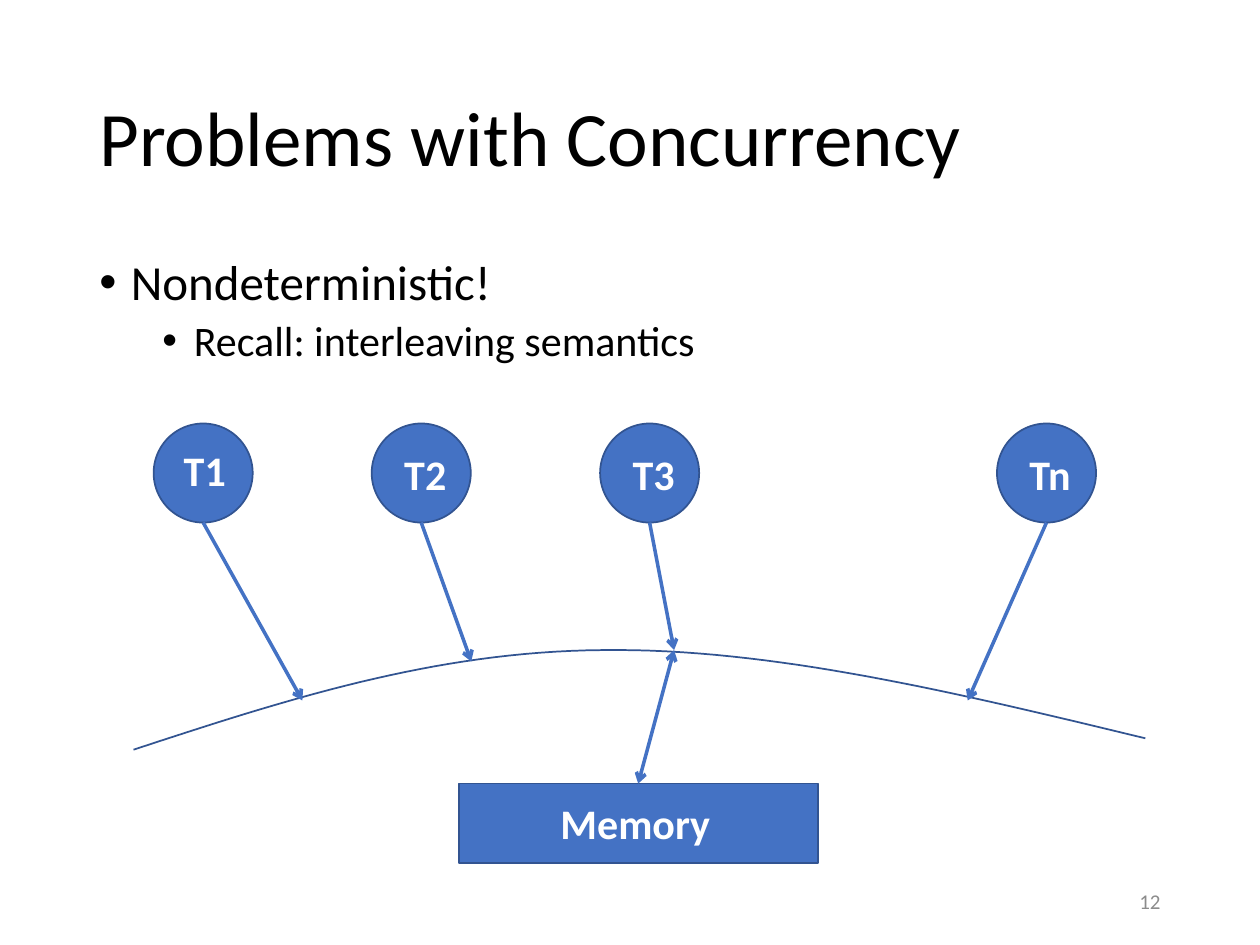
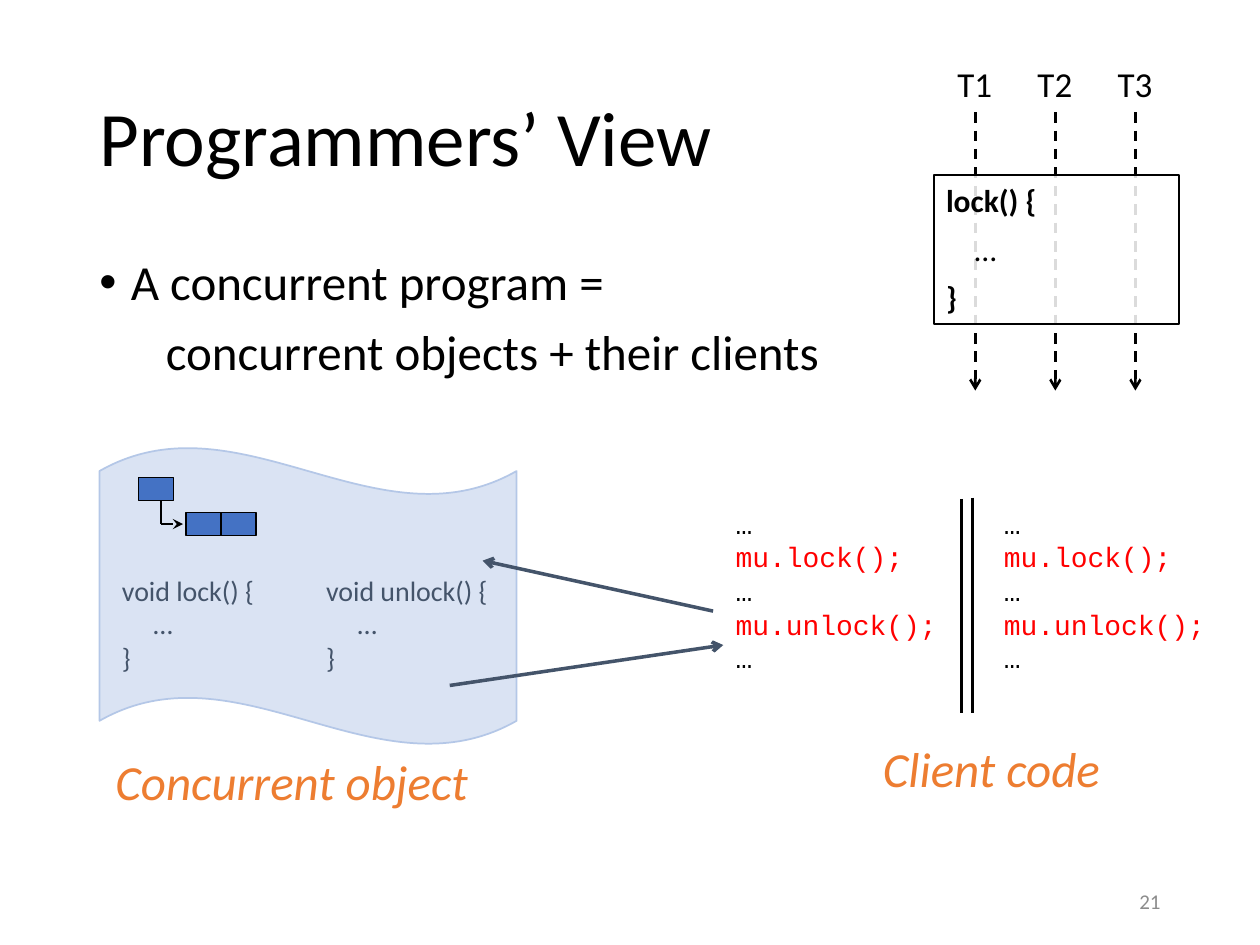
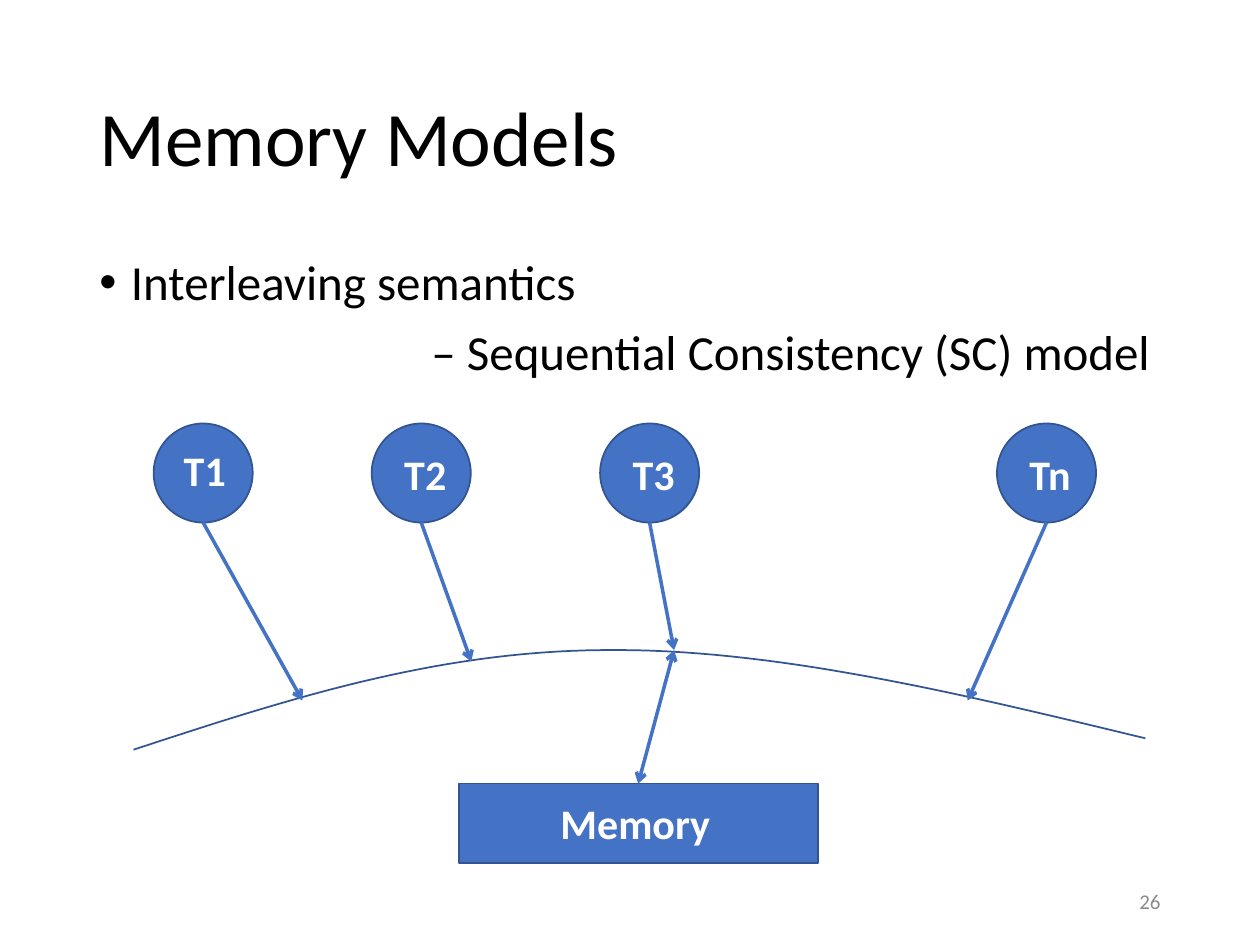
from dataclasses import dataclass
from typing import NamedTuple

from lxml import etree
from pptx import Presentation
from pptx import util as u
from pptx.dml.color import RGBColor
from pptx.enum import dml, shapes, text
from pptx.oxml import ns

BLACK, WHITE, RED = "000000", "FFFFFF", "FF0000"
BLUE, NAVY, SLATE = "4472C4", "325491", "44546A"
ORANGE, GRAY, PALE, PALE_EDGE = "ED7D31", "8C8C8C", "DAE3F3", "B4C7E7"
SANS, MONO = "Calibri", "Courier New"
INSETS = (7.2, 3.6, 7.2, 3.6)
ELLIPSIS_INDENT = 18
CIRCLE = 56.6
CIRCLE_TOP = 242


class Point(NamedTuple):
    x: float
    y: float


class Area(NamedTuple):
    left: float
    top: float
    width: float
    height: float

    def lengths(self) -> list:
        return [u.Pt(value) for value in self]


@dataclass
class Thread:
    name: str
    left: float
    target: Point
    label_offset: Point = Point(11.5, 10.8)


TITLE_AREA = Area(49.7, 28.8, 620.6, 104.4)
BODY_AREA = Area(49.7, 144, 620.6, 342.7)
NUMBER_AREA = Area(508.3, 500.4, 162, 28.8)
MEMORY_AREA = Area(262.1, 447.8, 205.2, 45.4)
THREADS = [
    Thread("T1", 87.8, Point(172.8, 400.3), Point(10.1, 8.6)),
    Thread("T2", 212.4, Point(269.3, 378)),
    Thread("T3", 342.9, Point(385.2, 371.5)),
    Thread("Tn", 569.7, Point(553, 400.3)),
]
INTERFACE_CURVES = [
    [Point(76.3, 428.4), Point(162, 400.3), Point(247.7, 372.2), Point(344.2, 371.5)],
    [Point(344.2, 371.5), Point(440.6, 370.1), Point(547.2, 396), Point(654.5, 421.9)],
]


def paint(color: str) -> RGBColor:
    return RGBColor.from_string(color)


def write(frame, words: str, *, size: float = 24, color: str = BLACK, font: str = SANS,
          bold: bool = False, italic: bool = False, align=text.PP_ALIGN.LEFT,
          margin: float = 0, hanging: float = 0, bullet: str = "",
          before: float = 0, spacing: float = 1.0) -> None:
    para = frame.paragraphs[-1]
    if para.runs:
        para = frame.add_paragraph()
    para.alignment = align
    para.line_spacing = spacing
    para.space_before = u.Pt(before)
    span = para.add_run()
    span.text = words
    span.font.name = font
    span.font.size = u.Pt(size)
    span.font.bold = bold
    span.font.italic = italic
    span.font.color.rgb = paint(color)
    properties = para._p.get_or_add_pPr()
    properties.set("marL", str(u.Pt(margin)))
    properties.set("indent", str(u.Pt(-hanging)))
    if bullet:
        etree.SubElement(properties, ns.qn("a:buFont")).set("typeface", "Arial")
        etree.SubElement(properties, ns.qn("a:buChar")).set("char", bullet)


def prepare(frame, *, wrap: bool = True, anchor=text.MSO_ANCHOR.TOP, insets=INSETS):
    frame.word_wrap = wrap
    frame.auto_size = text.MSO_AUTO_SIZE.NONE
    frame.vertical_anchor = anchor
    (frame.margin_left, frame.margin_top,
     frame.margin_right, frame.margin_bottom) = [u.Pt(inset) for inset in insets]
    return frame


def add_text(page, area: Area, **options):
    return prepare(page.shapes.add_textbox(*area.lengths()).text_frame, **options)


def add_box(page, kind, area: Area, fill: str, edge: str, width: float = 1):
    box = page.shapes.add_shape(kind, *area.lengths())
    box.shadow.inherit = False
    box.fill.solid()
    box.fill.fore_color.rgb = paint(fill)
    box.line.color.rgb = paint(edge)
    box.line.width = u.Pt(width)
    return box


def add_line(page, start: Point, end: Point, color: str, width: float,
             head: str = "", tail: str = "", dashed: bool = False) -> None:
    line = page.shapes.add_connector(
        shapes.MSO_CONNECTOR.STRAIGHT, *[u.Pt(value) for value in start + end])
    line.line.color.rgb = paint(color)
    line.line.width = u.Pt(width)
    if dashed:
        line.line.dash_style = dml.MSO_LINE.DASH
    properties = line._element.spPr
    stroke = properties.find(ns.qn("a:ln"))
    for tag, arrow in (("a:headEnd", head), ("a:tailEnd", tail)):
        if arrow:
            etree.SubElement(stroke, ns.qn(tag)).set("type", arrow)
    etree.SubElement(properties, ns.qn("a:effectLst"))


def add_page(deck, title: str, number: int):
    page = deck.slides.add_slide(deck.slide_layouts[5])
    heading = page.shapes.title
    heading.left, heading.top, heading.width, heading.height = TITLE_AREA.lengths()
    frame = prepare(heading.text_frame, anchor=text.MSO_ANCHOR.MIDDLE)
    write(frame, title, size=44, spacing=0.9)
    footer = add_text(page, NUMBER_AREA, anchor=text.MSO_ANCHOR.MIDDLE)
    write(footer, str(number), size=12, color=GRAY, align=text.PP_ALIGN.RIGHT)
    return page


def add_body(page, opening: str, following: str, **options) -> None:
    body = add_text(page, BODY_AREA)
    write(body, opening, size=28, margin=18, hanging=18, bullet="•", before=10, spacing=0.9)
    write(body, following, **{"size": 28, "before": 10, "spacing": 0.9, **options})


def bezier(controls: list, t: float) -> Point:
    weights = ((1 - t) ** 3, 3 * t * (1 - t) ** 2, 3 * t ** 2 * (1 - t), t ** 3)
    return Point(sum(w * c.x for w, c in zip(weights, controls)),
                 sum(w * c.y for w, c in zip(weights, controls)))


def add_interface(page, steps: int = 32) -> None:
    start = INTERFACE_CURVES[0][0]
    points = [bezier(curve, step / steps)
              for curve in INTERFACE_CURVES for step in range(1, steps + 1)]
    builder = page.shapes.build_freeform(u.Pt(start.x), u.Pt(start.y))
    builder.add_line_segments([(u.Pt(x), u.Pt(y)) for x, y in points], close=False)
    curve = builder.convert_to_shape()
    curve.shadow.inherit = False
    curve.fill.background()
    curve.line.color.rgb = paint(NAVY)
    curve.line.width = u.Pt(1)


def add_memory_diagram(page) -> None:
    for thread in THREADS:
        add_box(page, shapes.MSO_SHAPE.OVAL,
                Area(thread.left, CIRCLE_TOP, CIRCLE, CIRCLE), BLUE, NAVY)
    add_interface(page)
    add_box(page, shapes.MSO_SHAPE.RECTANGLE, MEMORY_AREA, BLUE, NAVY)
    write(add_text(page, Area(313.2, 452.2, 108, 36)), "Memory", color=WHITE, bold=True)
    for thread in THREADS:
        bottom = Point(thread.left + CIRCLE / 2, CIRCLE_TOP + CIRCLE)
        add_line(page, bottom, thread.target, BLUE, 2, tail="arrow")
        label = Area(thread.left + thread.label_offset.x,
                     CIRCLE_TOP + thread.label_offset.y, 51, 36)
        write(add_text(page, label), thread.name, color=WHITE, bold=True)
    memory_top = Point(MEMORY_AREA.left + MEMORY_AREA.width / 2, MEMORY_AREA.top)
    add_line(page, memory_top, Point(385.2, 371.5), BLUE, 2, head="arrow", tail="arrow")


def add_client_code(page) -> None:
    for left in (413.3, 566.6):
        frame = add_text(page, Area(left, 285.8, 131, 104.4), wrap=False)
        for words in ("…", "mu.lock();", "…", "mu.unlock();", "…"):
            write(frame, words, size=16, font=MONO, color=BLACK if words == "…" else RED)
    for x, top in ((549.4, 285.1), (555.8, 284.4)):
        add_line(page, Point(x, top), Point(x, 407.5), BLACK, 1.5)


def add_concurrent_object(page) -> None:
    wave = add_box(page, shapes.MSO_SHAPE.WAVE, Area(56.9, 255.6, 238.3, 169.9),
                   PALE, PALE_EDGE)
    wave.adjustments[0] = 0.08
    for method, left, width in (("lock", 62.6, 130.3), ("unlock", 179.3, 110.2)):
        frame = add_text(page, Area(left, 324, width, 65.5))
        for words, margin in ((f"void {method}() {{", 0), ("…", ELLIPSIS_INDENT), ("}", 0)):
            write(frame, words, size=16, color=SLATE, margin=margin)
    for left, top in ((79.2, 272.9), (106.3, 293), (126.3, 293)):
        add_box(page, shapes.MSO_SHAPE.RECTANGLE, Area(left, top, 20, 13.2),
                BLUE, BLACK, 0.75)
    corner = Point(92, 299.5)
    add_line(page, Point(corner.x, 286.4), corner, BLACK, 1.5)
    add_line(page, corner, Point(104.6, corner.y), BLACK, 1.5, tail="stealth")


def add_lock_timeline(page) -> None:
    for index in range(3):
        x = 557.3 + 45.75 * index
        add_line(page, Point(x, 64.1), Point(x, 223.2), BLACK, 1.5,
                 tail="arrow", dashed=True)
        label = add_text(page, Area(x - 17.3, 32.4, 34.6, 31.7), wrap=False)
        write(label, f"T{index + 1}", size=20)
    box = add_box(page, shapes.MSO_SHAPE.RECTANGLE, Area(533.5, 100.1, 140.4, 85),
                  WHITE, BLACK)
    color = box._element.spPr.find(ns.qn("a:solidFill"))[0]
    etree.SubElement(color, ns.qn("a:alpha")).set("val", "86000")
    frame = prepare(box.text_frame)
    for words, margin in (("lock() {", 0), ("…", 16.3), ("}", 0)):
        write(frame, words, size=18, bold=words != "…", margin=margin, before=6)


def add_programmers_view(page) -> None:
    add_client_code(page)
    add_concurrent_object(page)
    add_line(page, Point(257, 391.7), Point(413.3, 368.6), SLATE, 2, tail="arrow")
    add_line(page, Point(407.5, 349.2), Point(275.8, 320.4), SLATE, 2, tail="arrow")
    for words, area in (("Client code", Area(495.4, 423.4, 158.4, 33.8)),
                        ("Concurrent object", Area(56.9, 431.3, 232.6, 33.8))):
        caption = add_text(page, area, anchor=text.MSO_ANCHOR.MIDDLE,
                           insets=(7.2, 0, 7.2, 3.6))
        write(caption, words, size=28, color=ORANGE, italic=True, margin=2, before=6)
    add_lock_timeline(page)


def main() -> None:
    deck = Presentation()
    deck.slide_width, deck.slide_height = u.Pt(720), u.Pt(540)

    problems = add_page(deck, "Problems with Concurrency", 12)
    add_body(problems, "Nondeterministic!", "Recall: interleaving semantics",
             size=24, margin=54, hanging=18, bullet="•", before=5)
    add_memory_diagram(problems)

    view = add_page(deck, "Programmers’ View", 21)
    add_body(view, "A concurrent program =", "concurrent objects + their clients", margin=38)
    add_programmers_view(view)

    models = add_page(deck, "Memory Models", 26)
    add_body(models, "Interleaving semantics", "– Sequential Consistency (SC) model ",
             align=text.PP_ALIGN.RIGHT)
    add_memory_diagram(models)

    deck.save("out.pptx")


if __name__ == "__main__":
    main()
